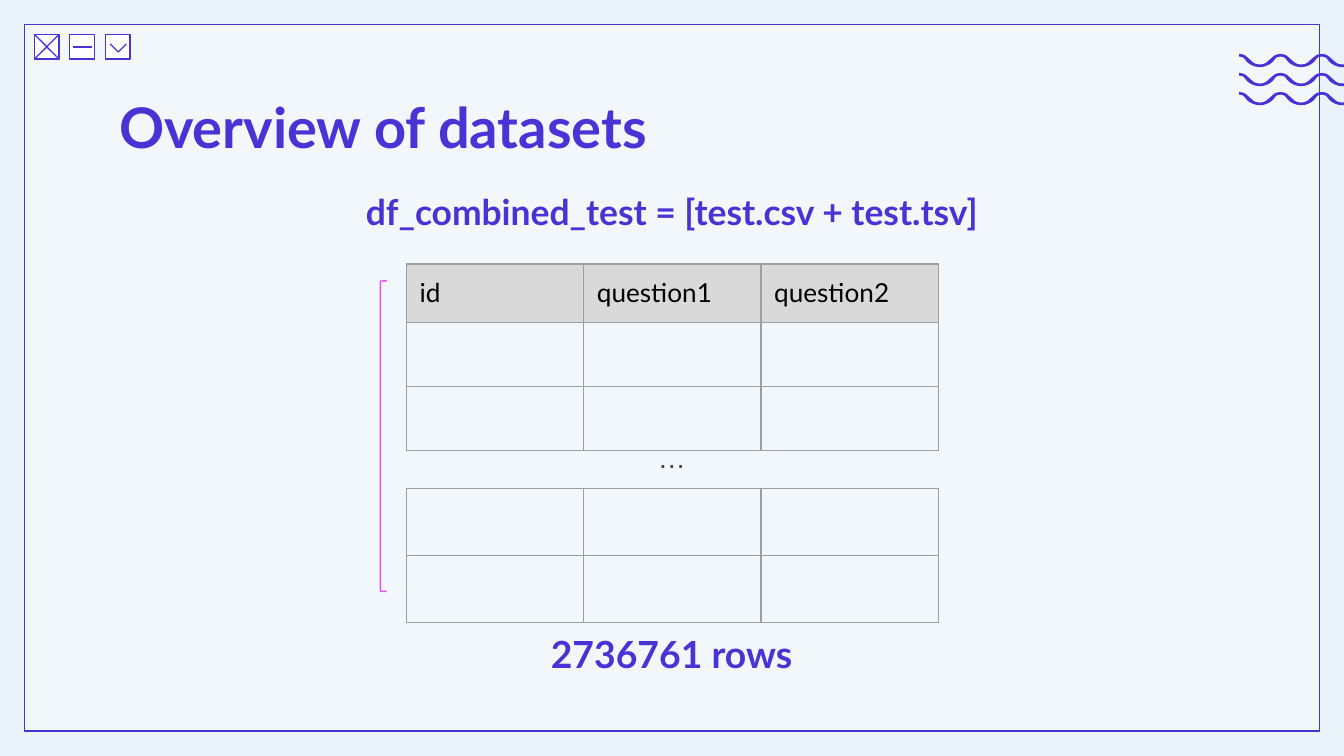
from lxml.etree import SubElement
from pptx import Presentation
from pptx.dml.color import RGBColor
from pptx.enum.shapes import MSO_CONNECTOR as CONN, MSO_SHAPE as SHAPE
from pptx.enum.text import MSO_ANCHOR as ANCHOR, PP_ALIGN as ALIGN
from pptx.oxml.ns import qn
from pptx.util import Cm, Pt

# Content: text, box (left, top, width, height in cm), format
INDIGO, GREY, PINK = "4834D4", "9E9E9E", "EA4EE3"
HEADING = dict(font="Lato", color=INDIGO, bold=True)
TEXTS = [
    ("Overview of datasets", (2, 1.5, 21.4, 1.6), dict(HEADING, size=30)),
    ("df_combined_test = [test.csv + test.tsv]", (4.46, 3.35, 16.48, 1.42),
     dict(HEADING, size=19, align=ALIGN.CENTER)),
    ("…", (3.95, 8.08, 17.5, 1.14),
     dict(font="Arial", size=15, color="444746", align=ALIGN.CENTER)),
    ("2736761 rows", (8.16, 11.68, 9.07, 1.42),
     dict(HEADING, size=20, align=ALIGN.CENTER)),
]
COLUMNS = ["id", "question1", "question2"]
BLANK = [""] * len(COLUMNS)
# Tables: top, rows, row heights
TABLES = [
    (4.99, [COLUMNS, BLANK, BLANK], [1.1, 1.21, 1.21]),
    (9.23, [BLANK, BLANK], [1.27, 1.27]),
]
TABLE_LEFT, COL_W = 7.68, 3.35
INSET = 0.25


def rgb(color):
    return RGBColor.from_string(color)


def write(tf, text, font="Lato", size=14, color="000000", bold=False, align=ALIGN.LEFT):
    p = tf.paragraphs[0]
    p.alignment = align
    r = p.add_run()
    r.text = text
    r.font.name, r.font.size, r.font.bold = font, Pt(size), bold
    r.font.color.rgb = rgb(color)


def add_shape(kind, x, y, w, h, fill=None, line=INDIGO, alpha=None):
    sp = s.shapes.add_shape(kind, Cm(x), Cm(y), Cm(w), Cm(h))
    sp.shadow.inherit = False
    if fill:
        sp.fill.solid()
        sp.fill.fore_color.rgb = rgb(fill)
    else:
        sp.fill.background()
    if alpha:
        clr = sp.fill._xPr.find(qn("a:solidFill"))[0]
        SubElement(clr, qn("a:alpha"), val=str(alpha * 1000))
    sp.line.color.rgb = rgb(line)
    sp.line.width = Pt(0.75)
    return sp


def add_borders(cell, color):
    tc_pr = cell._tc.get_or_add_tcPr()
    for side in "LRTB":
        ln = SubElement(tc_pr, qn(f"a:ln{side}"), w=str(Pt(0.75)))
        SubElement(SubElement(ln, qn("a:solidFill")), qn("a:srgbClr"), val=color)


def add_table(top, rows, heights):
    frame = s.shapes.add_table(len(rows), len(COLUMNS), Cm(TABLE_LEFT), Cm(top),
                               Cm(COL_W * len(COLUMNS)), Cm(sum(heights)))
    table = frame.table
    table.first_row = table.horz_banding = False
    for column in table.columns:
        column.width = Cm(COL_W)
    for i, (row, height) in enumerate(zip(rows, heights)):
        table.rows[i].height = Cm(height)
        for j, text in enumerate(row):
            cell = table.cell(i, j)
            cell.margin_left = cell.margin_right = Cm(INSET)
            cell.margin_top = cell.margin_bottom = Cm(INSET if text else 0.1)
            add_borders(cell, GREY)
            if text:
                cell.fill.solid()
                cell.fill.fore_color.rgb = rgb("D9D9D9")
                write(cell.text_frame, text)
            else:
                cell.fill.background()


def add_wave(left, top, quarter=0.195, quarters=18, amp=0.1, thick=0.05):
    """Ribbon with a node (x, y, handle x, handle y) every quarter of a period."""
    upper, lower = [], []
    for k in range(quarters + 1):
        x, y = left + quarter * k, top + amp * (1, 0, -1, 0)[k % 4] * -1 + amp
        slope = (0, 1, 0, -1)[k % 4]
        handle = (0.05, 0.05 * slope) if slope else (0.1, 0)
        upper.append((x, y, *handle))
        lower.append((x - slope * thick, y + thick, -handle[0], -handle[1]))
    nodes = upper + lower[::-1]
    points = [(Cm(x), Cm(y)) for x, y, _, _ in nodes]
    fb = s.shapes.build_freeform(*points[0])
    fb.add_line_segments(points[1:], close=True)
    sp = fb.convert_to_shape()

    # Turn the straight segments along both edges into curves
    for i, seg in enumerate(list(sp._element.iter(qn("a:lnTo"))), 1):
        if i >= len(nodes) or i == len(upper):
            continue
        (x0, y0, hx0, hy0), (x1, y1, hx1, hy1) = nodes[i - 1], nodes[i]
        seg.tag = qn("a:cubicBezTo")
        seg.remove(seg[0])
        for x, y in ((x0 + hx0, y0 + hy0), (x1 - hx1, y1 - hy1), (x1, y1)):
            SubElement(seg, qn("a:pt"), x=str(Cm(x) - sp.left), y=str(Cm(y) - sp.top))
    sp.shadow.inherit = False
    sp.fill.solid()
    sp.fill.fore_color.rgb = rgb(INDIGO)
    sp.line.fill.background()


prs = Presentation()
prs.slide_width, prs.slide_height = Cm(25.4), Cm(14.29)
s = prs.slides.add_slide(prs.slide_layouts[6])
s.background.fill.solid()
s.background.fill.fore_color.rgb = rgb("EAF2FA")

# Window frame and its three buttons
add_shape(SHAPE.RECTANGLE, 0.46, 0.46, 24.48, 13.36, "FFFFFF", alpha=41)
for i in range(3):
    add_shape(SHAPE.RECTANGLE, 0.65 + 0.67 * i, 0.65, 0.47, 0.47, "FFFFFF")
cross = add_shape(SHAPE.MATH_MULTIPLY, 0.45, 0.45, 0.87, 0.87)
cross.adjustments[0] = 0
chevron = add_shape(SHAPE.HALF_FRAME, 2.13, 0.73, 0.21, 0.21)
chevron.adjustments[0] = chevron.adjustments[1] = 0
chevron.rotation = 225
dash = s.shapes.add_connector(CONN.STRAIGHT, Cm(1.39), Cm(0.89), Cm(1.73), Cm(0.89))
dash.line.color.rgb = rgb(INDIGO)
dash.line.width = Pt(0.75)
SubElement(dash._element.spPr, qn("a:effectLst"))

# Waves
for i in range(3):
    add_wave(23.42, 1.02 + 0.36 * i)

# Tables and bracket
for table_data in TABLES:
    add_table(*table_data)
add_shape(SHAPE.LEFT_BRACKET, 7.19, 5.31, 0.12, 5.87, line=PINK)

# Texts
for text, box, style in TEXTS:
    tf = s.shapes.add_textbox(*map(Cm, box)).text_frame
    tf.word_wrap = True
    tf.vertical_anchor = ANCHOR.TOP
    tf.margin_left = tf.margin_right = tf.margin_top = tf.margin_bottom = Cm(INSET)
    write(tf, text, **style)

prs.save("out.pptx")
